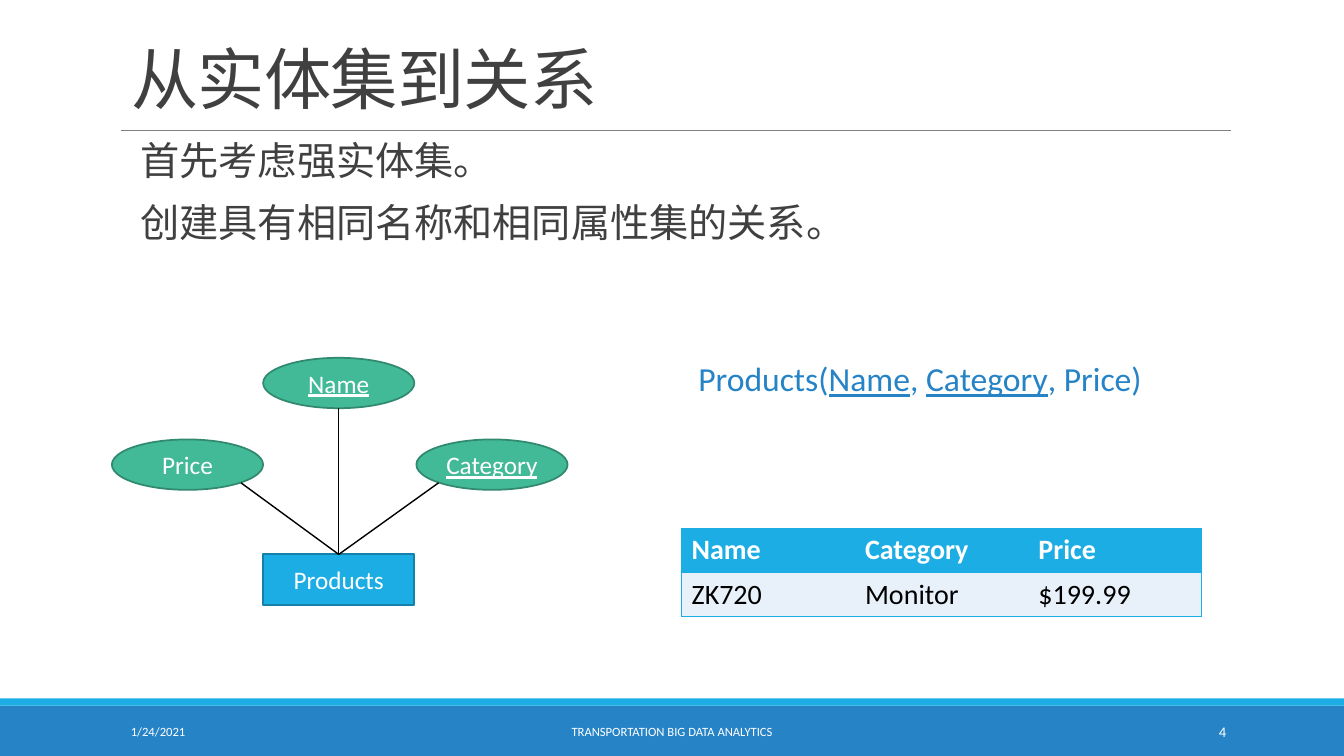
from lxml.etree import SubElement
from pptx import Presentation
from pptx.dml.color import RGBColor
from pptx.enum.shapes import MSO_CONNECTOR, MSO_SHAPE
from pptx.enum.text import MSO_ANCHOR, MSO_AUTO_SIZE, PP_ALIGN
from pptx.oxml import parse_xml
from pptx.oxml.ns import nsdecls, qn
from pptx.util import Pt

PX = 9144
BLUE, DARK_BLUE, GREEN = "1CADE4", "2683C6", "42BA97"
WHITE, BLACK, GREY = "FFFFFF", "000000", "404040"


def color(value):
    return RGBColor.from_string(value)


def write(frame, paragraphs, size, ink, align=PP_ALIGN.LEFT, bold=False, bullet=False, spacing=None, **frame_format):
    for name, value in frame_format.items():
        setattr(frame, name, value)
    for index, runs in enumerate(paragraphs):
        paragraph = frame.add_paragraph() if index else frame.paragraphs[0]
        if bullet:
            properties = paragraph._p.get_or_add_pPr()
            properties.set("marL", str(10 * PX))
            properties.set("indent", str(-10 * PX))
            SubElement(SubElement(properties, qn("a:buClr")), qn("a:srgbClr")).set("val", BLUE)
            SubElement(properties, qn("a:buChar")).set("char", " ")
            paragraph.space_before = Pt(12 if index else 0)
            paragraph.space_after = Pt(2)
        paragraph.alignment = align
        paragraph.line_spacing = spacing
        for text, underline in runs:
            run = paragraph.add_run()
            run.text = text
            font_format = {"name": "Calibri", "size": Pt(size), "bold": bold, "underline": underline}
            for name, value in font_format.items():
                setattr(run.font, name, value)
            run.font.color.rgb = color(ink)


presentation = Presentation()
presentation.slide_width = 1333 * PX
presentation.slide_height = 750 * PX
slide = presentation.slides.add_slide(presentation.slide_layouts[5])
shapes = slide.shapes

title = shapes.title
for name, value in {"left": 120, "top": 13, "width": 1100, "height": 109}.items():
    setattr(title, name, value * PX)
write(title.text_frame, [[("从实体集到关系", False)]], 48, GREY, spacing=0.85,
      vertical_anchor=MSO_ANCHOR.BOTTOM, auto_size=MSO_AUTO_SIZE.NONE, word_wrap=True)
title.text_frame.paragraphs[0].runs[0]._r.get_or_add_rPr().set("spc", "-50")

for top, height, fill in [(700, 50, DARK_BLUE), (693, 7, BLUE)]:
    bar = shapes.add_shape(MSO_SHAPE.RECTANGLE, 0, top * PX, 1333 * PX, height * PX)
    bar.shadow.inherit = False
    bar.fill.solid()
    bar.fill.fore_color.rgb = color(fill)
    bar.line.fill.background()

body_texts = [
    (120, 136, 1100, 205, 28, GREY, [[("首先考虑强实体集。", False)],
                                     [("创建具有相同名称和相同属性集的关系。", False)]]),
    (676, 355, 593, 133, 24, DARK_BLUE, [[("Products(", False), ("Name", True), (", ", False),
                                          ("Category", True), (", Price)", False)]]),
]
for left, top, width, height, size, ink, paragraphs in body_texts:
    box = shapes.add_textbox(left * PX, top * PX, width * PX, height * PX)
    write(box.text_frame, paragraphs, size, ink, bullet=True, spacing=0.9,
          word_wrap=True, margin_left=0, margin_right=0)

rows = [["Name", "Category", "Price"], ["ZK720", "Monitor", "$199.99"]]
row_looks = [(BLUE, WHITE, True), ("E8F1FA", BLACK, False)]
table = shapes.add_table(2, 3, 676 * PX, 524 * PX, 516 * PX, 88 * PX).table
table.horz_banding = False
for row, (texts, (fill, ink, bold)) in enumerate(zip(rows, row_looks)):
    for column, text in enumerate(texts):
        cell = table.cell(row, column)
        cell_properties = cell._tc.get_or_add_tcPr()
        for side, visible in [("L", column == 0), ("R", column == 2), ("T", True), ("B", True)]:
            paint = f'<a:solidFill><a:srgbClr val="{BLUE}"/></a:solidFill>' if visible else "<a:noFill/>"
            cell_properties.append(parse_xml(f'<a:ln{side} {nsdecls("a")} w="12700">{paint}</a:ln{side}>'))
        cell.fill.solid()
        cell.fill.fore_color.rgb = color(fill)
        write(cell.text_frame, [[(text, False)]], 20, ink, bold=bold)

nodes = [
    ("Products", 261, 550, MSO_SHAPE.RECTANGLE, BLUE, "1580A9", False),
    ("Name", 261, 355, MSO_SHAPE.OVAL, GREEN, "318A70", True),
    ("Category", 413, 436, MSO_SHAPE.OVAL, GREEN, "318A70", True),
    ("Price", 111, 436, MSO_SHAPE.OVAL, GREEN, "318A70", False),
]
node_shapes = {}
for label, left, top, kind, fill, outline, key in nodes:
    node = shapes.add_shape(kind, left * PX, top * PX, 150 * PX, 50 * PX)
    node.shadow.inherit = False
    node.fill.solid()
    node.fill.fore_color.rgb = color(fill)
    node.line.color.rgb = color(outline)
    node.line.width = Pt(1.25)
    write(node.text_frame, [[(label, key)]], 18, WHITE, PP_ALIGN.CENTER,
          vertical_anchor=MSO_ANCHOR.MIDDLE, word_wrap=False)
    node_shapes[label] = node

lines = [
    (120, 129, 1221, 129, "808080", 0.5, None),
    (336, 550, 239, 479, BLACK, 1, "Products"),
    (336, 550, 336, 405, BLACK, 1, "Products"),
    (336, 550, 435, 479, BLACK, 1, "Products"),
]
for start_x, start_y, end_x, end_y, ink, width, entity in lines:
    line = shapes.add_connector(MSO_CONNECTOR.STRAIGHT, start_x * PX, start_y * PX, end_x * PX, end_y * PX)
    if entity:
        line.begin_connect(node_shapes[entity], 0)
    line.line.color.rgb = color(ink)
    line.line.width = Pt(width)
    SubElement(line._element.spPr, qn("a:effectLst"))

footers = [
    (120, 270, "1/24/2021", 9, PP_ALIGN.LEFT),
    (403, 527, "TRANSPORTATION BIG DATA ANALYTICS", 9, PP_ALIGN.CENTER),
    (1083, 143, "4", 10.5, PP_ALIGN.RIGHT),
]
for left, width, text, size, align in footers:
    box = shapes.add_textbox(left * PX, 706 * PX, width * PX, 40 * PX)
    write(box.text_frame, [[(text, False)]], size, WHITE, align,
          vertical_anchor=MSO_ANCHOR.MIDDLE, word_wrap=True)

presentation.save("out.pptx")
